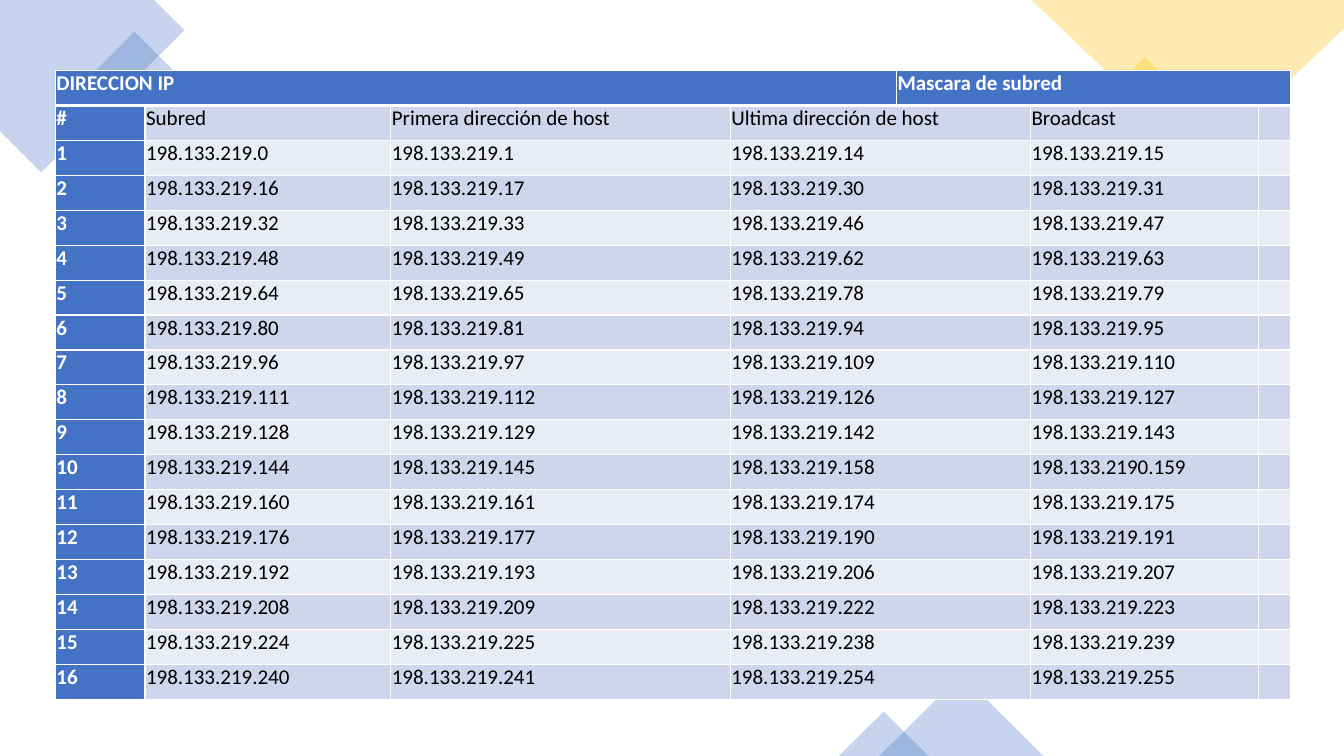
from lxml import etree
from pptx import Presentation
from pptx.dml.color import RGBColor
from pptx.enum.shapes import MSO_SHAPE
from pptx.oxml.ns import qn
from pptx.util import Inches, Pt

RECT = MSO_SHAPE.RECTANGLE
TRIANGLE = MSO_SHAPE.ISOSCELES_TRIANGLE

COLORS = {"blue": "4472C4", "gold": "FFC000", "white": "FFFFFF",
          "black": "000000", "dark_band": "CFD5EA", "light_band": "E9EBF5"}
ALPHA = 30
NET = "198.133.219."
BLOCK = 16
COLUMNS = [0.89, 2.44, 3.37, 1.65, 1.33, 2.26, 0.32]
CELL_MARGINS = {"margin_left": Inches(0.01), "margin_right": Inches(0.01),
                "margin_top": 0, "margin_bottom": 0}
# Addresses that break the regular 16-address blocks: (row, column) -> text
EXCEPTIONS = {(7, 3): NET + "109", (7, 4): NET + "110",
              (8, 1): NET + "111", (8, 2): NET + "112",
              (10, 4): "198.133.2190.159"}


def rgb(name):
    return RGBColor.from_string(COLORS[name])


def tint(sp, color):
    """Translucent fill without line or shadow."""
    sp.shadow.inherit = False
    sp.fill.solid()
    sp.fill.fore_color.rgb = rgb(color)
    clr = sp.fill._xPr.find(qn("a:solidFill"))[0]
    etree.SubElement(clr, qn("a:alpha"), val=str(ALPHA * 1000))
    sp.line.fill.background()


def add_tile(slide, kind, x, y, w, h, color, rotation=0):
    sp = slide.shapes.add_shape(kind, Inches(x), Inches(y), Inches(w), Inches(h))
    sp.rotation = rotation
    tint(sp, color)


def add_outline(slide, x, y, points, color):
    pts = [(Inches(x + dx), Inches(y + dy)) for dx, dy in points]
    fb = slide.shapes.build_freeform(*pts[0])
    fb.add_line_segments(pts[1:], close=True)
    tint(fb.convert_to_shape(), color)


def add_top_left(slide, x, y):
    add_outline(slide, x, y, [(1.53, 0), (0, 0), (0, 1.3), (0.41, 1.71),
                              (1.83, 0.3)], "blue")
    add_tile(slide, RECT, x + 0.98, y + 0.46, 0.71, 0.71, "blue", 315)


def add_top_right(slide, x, y):
    add_tile(slide, RECT, x + 0.75, y + 0.72, 0.75, 0.75, "gold", 315)
    add_outline(slide, x, y, [(3.1, 0), (0, 0), (1.7, 1.62), (3.1, 0.28)], "gold")


def add_bottom(slide, x, bottom):
    for dx, w, h in [(0.4, 1.63, 0.81), (0, 0.89, 0.44)]:
        add_tile(slide, TRIANGLE, x + dx, bottom - h, w, h, "blue")


def subnet_rows():
    rows = [["#", "Subred", "Primera dirección de host",
             "Ultima dirección de host ", "Broadcast"]]
    for n in range(1, 17):
        start = (n - 1) * BLOCK
        octets = [start, start + 1, start + BLOCK - 2, start + BLOCK - 1]
        row = [str(n)] + [f"{NET}{octet}" for octet in octets]
        rows.append([EXCEPTIONS.get((n, c), text) for c, text in enumerate(row)])
    return rows


def write(cell, text, heading):
    r = cell.text_frame.paragraphs[0].add_run()
    r.text = text
    font = {"name": "Calibri", "size": Pt(15), "bold": heading}
    for key, value in font.items():
        setattr(r.font, key, value)
    r.font.color.rgb = rgb("white" if heading else "black")


def add_borders(cell, top, bottom):
    tc_pr = cell._tc.get_or_add_tcPr()
    widths = {"lnL": 1, "lnR": 1, "lnT": top, "lnB": bottom}
    for i, (tag, width) in enumerate(widths.items()):
        ln = etree.Element(qn("a:" + tag), w=str(Pt(width)))
        fill = etree.SubElement(ln, qn("a:solidFill"))
        etree.SubElement(fill, qn("a:srgbClr"), val=COLORS["white"])
        tc_pr.insert(i, ln)


def add_subnet_table(slide, x, y, w, h):
    rows = subnet_rows()
    count = len(rows) + 1
    table = slide.shapes.add_table(count, len(COLUMNS), Inches(x), Inches(y),
                                   Inches(w), Inches(h)).table
    for column, width in zip(table.columns, COLUMNS):
        column.width = Inches(width * w / sum(COLUMNS))
    for row in table.rows:
        row.height = Inches(h / count)

    # Fills, margins and borders
    for r in range(count):
        for c in range(len(COLUMNS)):
            cell = table.cell(r, c)
            for key, value in CELL_MARGINS.items():
                setattr(cell, key, value)
            band = "dark_band" if r % 2 else "light_band"
            cell.fill.solid()
            cell.fill.fore_color.rgb = rgb("blue" if r == 0 or c == 0 else band)
            add_borders(cell, 3 if r == 1 else 1, 3 if r == 0 else 1)

    # Heading row
    for first, last, text in [(0, 3, "DIRECCION IP "), (4, 6, "Mascara de subred")]:
        table.cell(0, first).merge(table.cell(0, last))
        write(table.cell(0, first), text, True)

    # Subnets: the last host address spans two columns
    for r, values in enumerate(rows, 1):
        table.cell(r, 3).merge(table.cell(r, 4))
        for c, text in zip([0, 1, 2, 3, 5], values):
            write(table.cell(r, c), text, c == 0)


prs = Presentation()
prs.slide_width, prs.slide_height = Inches(13.33), Inches(7.5)
s = prs.slides.add_slide(prs.slide_layouts[6])
add_top_left(s, 0, 0)
add_top_right(s, 10.23, 0)
add_bottom(s, 8.32, 7.5)
add_subnet_table(s, 0.55, 0.7, 12.25, 6.24)
prs.save("out.pptx")
